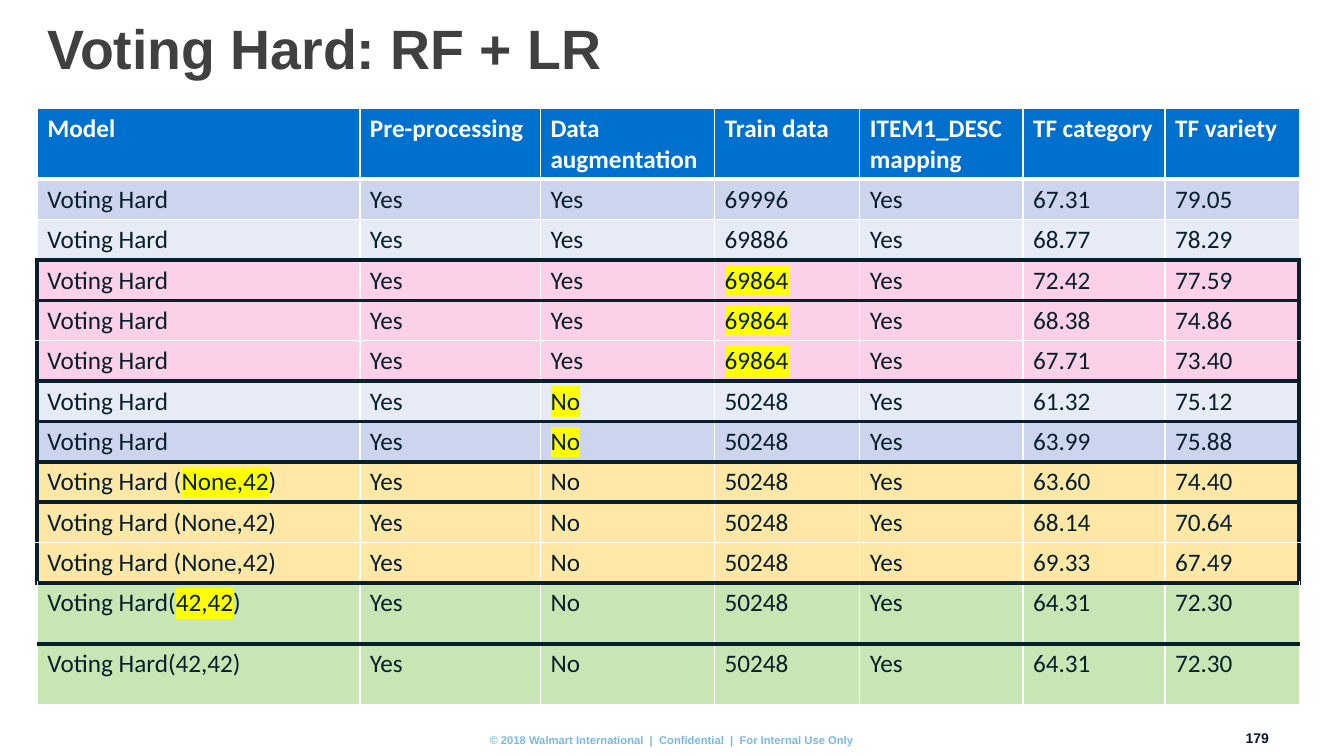
from dataclasses import dataclass

from lxml.etree import SubElement
from pptx import Presentation
from pptx.dml.color import RGBColor as Rgb
from pptx.enum.text import MSO_ANCHOR as Anchor, PP_ALIGN as Align
from pptx.oxml.ns import qn
from pptx.util import Cm, Pt

HUES = {
    "white": "FFFFFF", "ink": "081F2C", "head": "0070CE",
    "band": "CCD5ED", "pale": "E7EBF6", "pink": "FBD0E8",
    "gold": "FFE7A6", "green": "C8E6B4", "mark": "FFFF00",
    "title": "404041", "foot": "78B9E7", "page": "0B1438",
}


@dataclass
class Row:
    """One model run; text between asterisks is highlighted."""
    fill: str
    model: str
    augment: str
    train: str
    category: str
    variety: str
    boxed: bool = False   # dark left and right edges
    rule: bool = False    # dark line below
    high: float = 0.99

    def texts(self) -> list[str]:
        return [self.model, "Yes", self.augment, self.train, "Yes",
                self.category, self.variety]


@dataclass
class Label:
    text: str
    box: tuple[float, float, float, float]
    size: float
    hue: str
    align: Align
    pad: float = 0
    anchor: Anchor = Anchor.TOP
    space: float = 1


HEADS = ["Model", "Pre-processing", "Data augmentation", "Train data",
         "ITEM1_DESC mapping", "TF category", "TF variety"]
WIDTHS = [8.13, 4.55, 4.39, 3.66, 4.11, 3.58, 3.38]
ROWS = [
    Row("band", "Voting Hard", "Yes", "69996", "67.31", "79.05"),
    Row("pale", "Voting Hard", "Yes", "69886", "68.77", "78.29", rule=True),
    Row("pink", "Voting Hard", "Yes", "*69864*", "72.42", "77.59", True, True),
    Row("pink", "Voting Hard", "Yes", "*69864*", "68.38", "74.86", True),
    Row("pink", "Voting Hard", "Yes", "*69864*", "67.71", "73.40", True, True),
    Row("pale", "Voting Hard", "*No*", "50248", "61.32", "75.12", True, True),
    Row("band", "Voting Hard", "*No*", "50248", "63.99", "75.88", True, True),
    Row("gold", "Voting Hard (*None,42*)", "No", "50248", "63.60", "74.40",
        True, True),
    Row("gold", "Voting Hard (None,42)", "No", "50248", "68.14", "70.64", True),
    Row("gold", "Voting Hard (None,42)", "No", "50248", "69.33", "67.49",
        True, True),
    Row("green", "Voting Hard(*42,42*)", "No", "50248", "64.31", "72.30",
        rule=True, high=1.53),
    Row("green", "Voting Hard(42,42)", "No", "50248", "64.31", "72.30",
        high=1.53),
]
LABELS = [
    Label("179", (31.22, 18.39, 0.76, 0.43), 10, "page", Align.RIGHT),
    Label("© 2018 Walmart International  |  Confidential  |  "
          "For Internal Use Only", (11.56, 18.47, 10.74, 0.33), 8, "foot",
          Align.CENTER),
    Label("Voting Hard: RF + LR", (0.94, 0.66, 29.21, 1.3), 39.6, "title",
          Align.LEFT, 0.25, Anchor.MIDDLE, 0.9),
]


def style(para, face: str, size: float, hue: str, bold: bool) -> None:
    font = para.font
    font.name, font.size, font.bold = face, Pt(size), bold
    font.color.rgb = Rgb.from_string(HUES[hue])


def edge(cell, side: str, hue: str, wide: float) -> None:
    line = SubElement(cell._tc.get_or_add_tcPr(), qn(f"a:ln{side}"),
                      w=str(Pt(wide)))
    fill = SubElement(line, qn("a:solidFill"))
    SubElement(fill, qn("a:srgbClr"), val=HUES[hue])


def write(cell, text: str, hue: str, bold: bool) -> None:
    para = cell.text_frame.paragraphs[0]
    for i, part in enumerate(text.split("*")):
        if not part:
            continue
        run = para.add_run()
        run.text = part
        if i % 2:
            mark = SubElement(run._r.get_or_add_rPr(), qn("a:highlight"))
            SubElement(mark, qn("a:srgbClr"), val=HUES["mark"])
    style(para, "Calibri", 18, hue, bold)


def paint(cell, fill: str, edges: dict[str, tuple[str, float]]) -> None:
    for side in "LRTB":
        edge(cell, side, *edges.get(side, ("white", 1)))
    cell.fill.solid()
    cell.fill.fore_color.rgb = Rgb.from_string(HUES[fill])


def add_grid(slide) -> None:
    grid = slide.shapes.add_table(
        len(ROWS) + 1, len(HEADS), Cm(0.94), Cm(2.74),
        Cm(sum(WIDTHS)), Cm(1.73 + sum(row.high for row in ROWS))).table
    for col, wide in zip(grid.columns, WIDTHS):
        col.width = Cm(wide)
    grid.rows[0].height = Cm(1.73)
    for c, text in enumerate(HEADS):
        cell = grid.cell(0, c)
        write(cell, text, "white", True)
        paint(cell, "head", {"B": ("white", 3)})

    dark = ("ink", 3)
    last = len(HEADS) - 1
    above = False
    for r, row in enumerate(ROWS, 1):
        grid.rows[r].height = Cm(row.high)
        for c, text in enumerate(row.texts()):
            cell = grid.cell(r, c)
            write(cell, text, "ink", False)
            shown = {"L": row.boxed and c == 0, "R": row.boxed and c == last,
                     "T": above, "B": row.rule}
            edges = {side: dark for side, on in shown.items() if on}
            if r == 1:
                edges["T"] = ("white", 3)
            paint(cell, row.fill, edges)
        above = row.rule


def add_label(slide, label: Label) -> None:
    frame = slide.shapes.add_textbox(*map(Cm, label.box)).text_frame
    frame.word_wrap = True
    frame.vertical_anchor = label.anchor
    frame.margin_left = frame.margin_right = Cm(label.pad)
    frame.margin_top = frame.margin_bottom = Cm(label.pad / 2)
    para = frame.paragraphs[0]
    para.text = label.text
    para.alignment = label.align
    para.line_spacing = label.space
    style(para, "Arial", label.size, label.hue, True)


def main() -> None:
    deck = Presentation()
    deck.slide_width, deck.slide_height = Cm(33.87), Cm(19.05)
    slide = deck.slides.add_slide(deck.slide_layouts[6])
    for label in LABELS:
        add_label(slide, label)
    add_grid(slide)
    deck.save("out.pptx")


if __name__ == "__main__":
    main()
